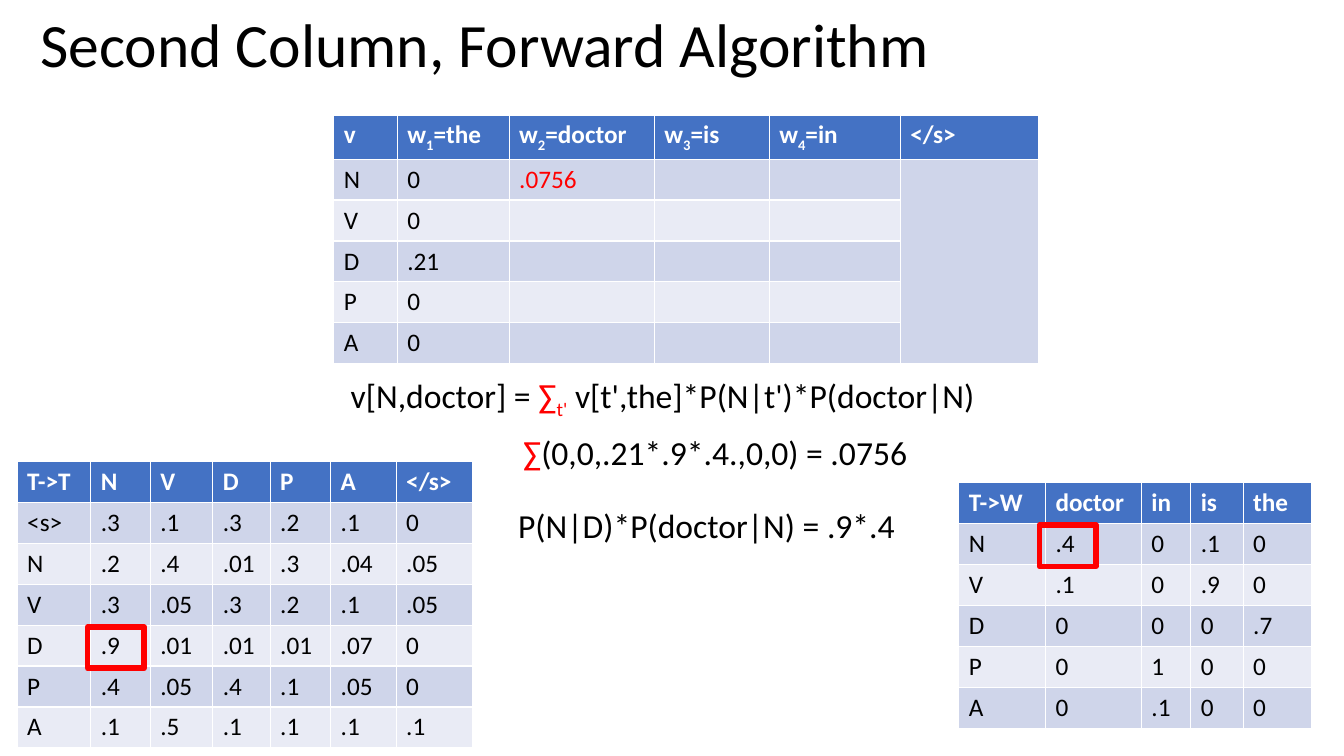
from pptx import Presentation
from pptx import util as u
from pptx.dml.color import RGBColor
from pptx.enum import shapes, text

BLACK = RGBColor(0x00, 0x00, 0x00)
WHITE = RGBColor(0xFF, 0xFF, 0xFF)
RED = RGBColor(0xFF, 0x00, 0x00)
BLUE = RGBColor(0x44, 0x72, 0xC4)
DARK = RGBColor(0xCF, 0xD5, 0xEA)
LIGHT = RGBColor(0xE9, 0xEB, 0xF5)
FONT = "Calibri"


def word(num, name):
    return [("w", WHITE, False), (num, WHITE, True), ("=" + name, WHITE, False)]


STEPS = [
    ["v", word("1", "the"), word("2", "doctor"), word("3", "is"),
     word("4", "in"), "</s>"],
    ["N", "0", [(".0756", RED, False)], "", "", ""],
    ["V", "0", "", "", "", ""],
    ["D", ".21", "", "", "", ""],
    ["P", "0", "", "", "", ""],
    ["A", "0", "", "", "", ""],
]
TAGS = [
    ["T->T", "N", "V", "D", "P", "A", "</s>"],
    ["<s>", ".3", ".1", ".3", ".2", ".1", "0"],
    ["N", ".2", ".4", ".01", ".3", ".04", ".05"],
    ["V", ".3", ".05", ".3", ".2", ".1", ".05"],
    ["D", ".9", ".01", ".01", ".01", ".07", "0"],
    ["P", ".4", ".05", ".4", ".1", ".05", "0"],
    ["A", ".1", ".5", ".1", ".1", ".1", ".1"],
]
WORDS = [
    ["T->W", "doctor", "in", "is", "the"],
    ["N", ".4", "0", ".1", "0"],
    ["V", ".1", "0", ".9", "0"],
    ["D", "0", "0", "0", ".7"],
    ["P", "0", "1", "0", "0"],
    ["A", "0", ".1", "0", "0"],
]
SUMS = [
    ((3.38, 3.67, 6.46, 0.5),
     [("v[N,doctor] = ", BLACK, False), ("∑", RED, False), ("t'", RED, True),
      (" v[t',the]*P(N|t')*P(doctor|N)", BLACK, False)]),
    ((5.09, 4.24, 4.04, 0.5),
     [("∑", RED, False), ("(0,0,.21*.9*.4.,0,0) = .0756", BLACK, False)]),
    ((5.04, 4.96, 3.97, 0.5), "P(N|D)*P(doctor|N) = .9*.4"),
]


def write(par, parts, size, color=BLACK, bold=False):
    """Fill a paragraph from a string or a list of (text, colour, subscript)."""
    if isinstance(parts, str):
        parts = [(parts, color, False)] if parts else []
    font = par.font
    font.name, font.size, font.bold = FONT, u.Pt(size), bold
    for words, tint, sub in parts:
        run = par.add_run()
        run.text = words
        run.font.color.rgb = tint
        if sub:
            run.font._element.set("baseline", "-25000")


def add_title(slide, box, words):
    title = slide.shapes.title
    title.left, title.top, title.width, title.height = map(u.Inches, box)
    frame = title.text_frame
    frame.vertical_anchor = text.MSO_ANCHOR.MIDDLE
    par = frame.paragraphs[0]
    par.alignment = text.PP_ALIGN.LEFT
    par.line_spacing = 0.9
    write(par, words, 44)


def add_grid(slide, box, widths, rows):
    """Draw a table with a blue header and two-tone bands."""
    grid = slide.shapes.add_table(len(rows), len(widths), *map(u.Inches, box)).table
    for col, width in zip(grid.columns, widths):
        col.width = u.Inches(width)
    for i, row in enumerate(rows):
        head = i == 0
        for j, parts in enumerate(row):
            cell = grid.cell(i, j)
            cell.fill.solid()
            cell.fill.fore_color.rgb = BLUE if head else DARK if i % 2 else LIGHT
            write(cell.text_frame.paragraphs[0], parts, 18,
                  WHITE if head else BLACK, head)
    return grid


def add_sum(slide, box, parts):
    frame = slide.shapes.add_textbox(*map(u.Inches, box)).text_frame
    frame.word_wrap = False
    frame.auto_size = text.MSO_AUTO_SIZE.SHAPE_TO_FIT_TEXT
    write(frame.paragraphs[0], parts, 24)


def add_mark(slide, left, top):
    """Frame one table cell in red."""
    mark = slide.shapes.add_shape(shapes.MSO_SHAPE.RECTANGLE,
                                  *map(u.Inches, (left, top, 0.56, 0.41)))
    mark.shadow.inherit = False
    mark.fill.background()
    mark.line.color.rgb = RED
    mark.line.width = u.Pt(4)


def main():
    deck = Presentation()
    deck.slide_width, deck.slide_height = u.Inches(13.33), u.Inches(7.5)
    slide = deck.slides.add_slide(deck.slide_layouts[5])
    add_grid(slide, (0.17, 4.58, 4.52, 2.84),
             (0.73, 0.59, 0.62, 0.57, 0.6, 0.65, 0.76), TAGS)
    steps = add_grid(slide, (3.31, 1.14, 7, 2.43),
                     (0.63, 1.11, 1.44, 1.14, 1.3, 1.37), STEPS)
    steps.cell(1, 5).merge(steps.cell(5, 5))
    add_grid(slide, (9.51, 4.79, 3.51, 2.43),
             (0.86, 0.95, 0.49, 0.52, 0.68), WORDS)
    add_title(slide, (0.3, -0.25, 11.5, 1.45), "Second Column, Forward Algorithm")
    for box, parts in SUMS:
        add_sum(slide, box, parts)
    add_mark(slide, 0.87, 6.22)
    add_mark(slide, 10.31, 5.21)
    deck.save("out.pptx")


if __name__ == "__main__":
    main()
